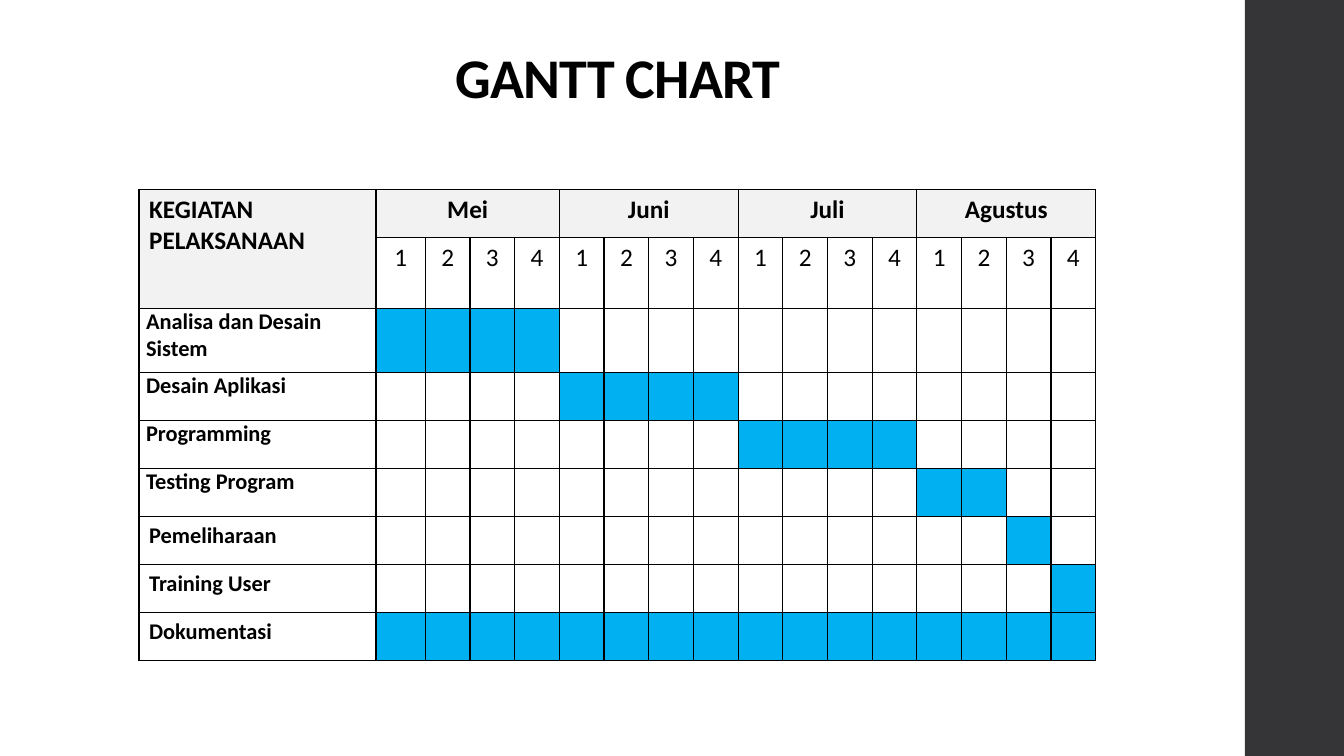
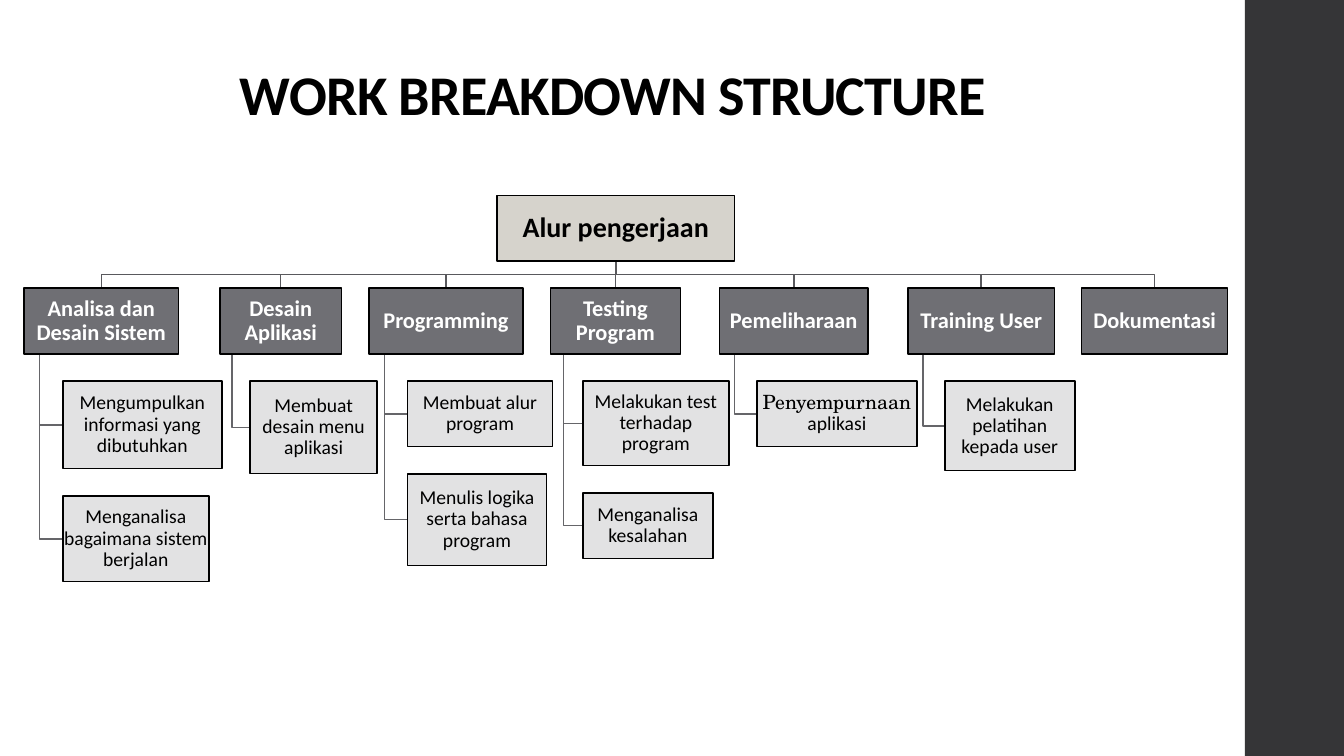
from dataclasses import dataclass

from lxml.etree import SubElement
from pptx import Presentation
from pptx.dml.color import RGBColor as Color
from pptx.enum.shapes import MSO_SHAPE as Shape
from pptx.enum.text import MSO_ANCHOR as Anchor, PP_ALIGN as Align
from pptx.oxml.ns import qn
from pptx.util import Inches, Pt


@dataclass(frozen=True)
class Theme:
    """Colours, fonts and type sizes of the deck."""
    ink: str = "000000"
    paper: str = "FFFFFF"
    band: str = "353537"
    header: str = "F2F2F2"
    active: str = "00B0F0"
    root: str = "D6D3CC"
    branch: str = "6F6F74"
    leaf: str = "E2E2E3"
    trunk: str = "59595D"
    twig: str = "656569"
    font: str = "Calibri"
    serif: str = "TeX Gyre Schola"
    title: int = 40
    root_size: int = 20
    head_size: int = 18
    label_size: int = 16
    leaf_size: int = 14
    outline: float = 1.1


THEME = Theme()

# The slide is a grid of square units: 40 columns by 22.5 rows.
COLUMNS, ROWS = 40, 22.5
UNIT = Inches(1) / 3

MONTHS = ("Mei", "Juni", "Juli", "Agustus")
WEEKS = 4
# Task, first and last busy week
TASKS = (
    ("Analisa dan Desain Sistem", 1, 4),
    ("Desain Aplikasi", 5, 8),
    ("Programming", 9, 12),
    ("Testing Program", 13, 14),
    ("Pemeliharaan", 15, 15),
    ("Training User", 16, 16),
    ("Dokumentasi", 1, 16),
)
TIGHT_TASKS = 4

# Column, width, heading, then leaves as (width, height, text)
BRANCHES = (
    (0.72, 4.59, "Analisa dan Desain Sistem", (
        (4.74, 2.61, "Mengumpulkan informasi yang dibutuhkan"),
        (4.35, 2.55, "Menganalisa bagaimana sistem berjalan"))),
    (6.54, 3.63, "Desain Aplikasi", (
        (3.78, 2.76, "Membuat desain menu aplikasi"),)),
    (10.98, 4.59, "Programming", (
        (4.32, 1.95, "Membuat alur program"),
        (4.14, 2.73, "Menulis logika serta bahasa program"))),
    (16.38, 3.87, "Testing Program", (
        (4.35, 2.52, "Melakukan test terhadap program"),
        (3.87, 1.95, "Menganalisa kesalahan"))),
    (21.42, 4.41, "Pemeliharaan", (
        (4.77, 1.95, (("Penyempurnaan ", THEME.serif),
                      ("aplikasi", THEME.font))),)),
    (27.03, 4.35, "Training User", (
        (3.87, 2.67, "Melakukan pelatihan kepada user"),)),
    (32.19, 4.35, "Dokumentasi", ()),
)


def grid(*lengths):
    """Turn grid units into slide lengths."""
    return [round(length * UNIT) for length in lengths]


def write(frame, text, size, color=THEME.ink, bold=False, align=Align.CENTER,
          leading=None, tracking=None):
    """Write one paragraph, given as a string or as (text, font) pairs."""
    para = frame.paragraphs[0]
    para.alignment = align
    if leading:
        para.line_spacing = leading
    pairs = ((text, THEME.font),) if isinstance(text, str) else text
    for words, font in pairs:
        span = para.add_run()
        span.text = words
        span.font.name = font
        span.font.size = Pt(size)
        span.font.bold = bold
        span.font.color.rgb = Color.from_string(color)
        if tracking:
            span.font._element.set("spc", str(tracking))


def paint(target, color):
    """Give a shape or cell a solid fill."""
    target.fill.solid()
    target.fill.fore_color.rgb = Color.from_string(color)


def add_box(page, place, fill, line=None):
    """Add a flat rectangle, outlined if a line colour is given."""
    box = page.shapes.add_shape(Shape.RECTANGLE, *grid(*place))
    box.shadow.inherit = False
    paint(box, fill)
    if line:
        box.line.color.rgb = Color.from_string(line)
        box.line.width = Pt(THEME.outline)
    else:
        box.line.fill.background()
    return box


def add_node(page, place, text, fill, **style):
    """Add an outlined box with centred text."""
    frame = add_box(page, place, fill, THEME.ink).text_frame
    frame.word_wrap = True
    frame.vertical_anchor = Anchor.MIDDLE
    frame.margin_left = frame.margin_right = Inches(0.01)
    frame.margin_top = frame.margin_bottom = Inches(0.01)
    write(frame, text, leading=0.9, **style)


def add_path(page, points, color):
    """Draw an open line through grid points."""
    start, *rest = [grid(*point) for point in points]
    builder = page.shapes.build_freeform(*start)
    builder.add_line_segments(rest, close=False)
    path = builder.convert_to_shape()
    path.shadow.inherit = False
    path.fill.background()
    path.line.color.rgb = Color.from_string(color)
    path.line.width = Pt(THEME.outline)


def add_page(deck, title, place):
    """Add a slide with the side band and its title."""
    page = deck.slides.add_slide(deck.slide_layouts[6])
    band_left = 37.05
    add_box(page, (band_left, 0, COLUMNS - band_left, ROWS), THEME.band)
    frame = page.shapes.add_textbox(*grid(*place)).text_frame
    frame.word_wrap = True
    frame.vertical_anchor = Anchor.BOTTOM
    write(frame, title, THEME.title, bold=True, leading=0.9, tracking=-50)
    return page


def add_borders(cell):
    """Draw a thin line on all four sides of a cell."""
    props = cell._tc.get_or_add_tcPr()
    for index, side in enumerate(("a:lnL", "a:lnR", "a:lnT", "a:lnB")):
        line = SubElement(props, qn(side), w=str(Pt(1)))
        fill = SubElement(line, qn("a:solidFill"))
        SubElement(fill, qn("a:srgbClr"), val=THEME.ink)
        props.insert(index, line)


def add_gantt(page):
    """Add the schedule table: months, weeks and busy cells."""
    widths = grid(7.05, 1.47, *[1.33] * (len(MONTHS) * WEEKS - 1))
    heights = grid(1.43, 1.43, 1.92, *[1.43] * (len(TASKS) - 1))
    table = page.shapes.add_table(
        len(heights), len(widths), *grid(4.14, 5.64),
        sum(widths), sum(heights)).table
    table.first_row = table.horz_banding = False
    for column, width in zip(table.columns, widths):
        column.width = width
    for row, height in zip(table.rows, heights):
        row.height = height
    for cell in table.iter_cells():
        paint(cell, THEME.paper)
        add_borders(cell)

    corner = table.cell(0, 0)
    corner.merge(table.cell(1, 0))
    paint(corner, THEME.header)
    write(corner.text_frame, "KEGIATAN PELAKSANAAN", THEME.head_size,
          bold=True, align=Align.LEFT)
    for index, month in enumerate(MONTHS):
        first = 1 + index * WEEKS
        head = table.cell(0, first)
        head.merge(table.cell(0, first + WEEKS - 1))
        paint(head, THEME.header)
        write(head.text_frame, month, THEME.head_size, bold=True)
        for week in range(WEEKS):
            write(table.cell(1, first + week).text_frame, str(week + 1),
                  THEME.head_size)

    for index, (task, first, last) in enumerate(TASKS):
        label = table.cell(index + 2, 0)
        if index < TIGHT_TASKS:
            label.margin_left = label.margin_right = Inches(0.07)
            label.margin_top = label.margin_bottom = 0
        write(label.text_frame, task, THEME.label_size, bold=True,
              align=Align.LEFT)
        for week in range(first, last + 1):
            paint(table.cell(index + 2, week), THEME.active)


def add_breakdown(page):
    """Add the tree of work: root, branches and hanging leaves."""
    left, top, width, height, gap = 14.79, 5.82, 7.08, 1.95, 0.81
    center, bottom = left + width / 2, top + height
    branch_top = bottom + gap
    branch_bottom = branch_top + height
    nodes = [((left, top, width, height), "Alur pengerjaan", THEME.root,
              dict(size=THEME.root_size, bold=True))]
    for column, span, heading, leaves in BRANCHES:
        middle, bend = column + span / 2, bottom + gap / 2
        add_path(page, ((center, bottom), (center, bend), (middle, bend),
                        (middle, branch_top)), THEME.trunk)
        nodes.append(((column, branch_top, span, height), heading,
                      THEME.branch, dict(size=THEME.label_size, bold=True,
                                         color=THEME.paper)))
        stem, leaf_left = column + span * 0.1, column + span * 0.25
        leaf_top = branch_bottom + gap
        for leaf_width, leaf_height, text in leaves:
            level = leaf_top + leaf_height / 2
            add_path(page, ((stem, branch_bottom), (stem, level),
                            (leaf_left, level)), THEME.twig)
            nodes.append(((leaf_left, leaf_top, leaf_width, leaf_height),
                          text, THEME.leaf, dict(size=THEME.leaf_size)))
            leaf_top += leaf_height + gap
    for place, text, fill, style in nodes:
        add_node(page, place, text, fill, **style)


def main():
    """Build and save the deck."""
    deck = Presentation()
    deck.slide_width, deck.slide_height = grid(COLUMNS, ROWS)
    add_gantt(add_page(deck, "GANTT CHART", (4.14, 1.2, 28.5, 2.25)))
    add_breakdown(add_page(deck, "WORK BREAKDOWN STRUCTURE",
                           (4.14, 1.32, 28.2, 2.64)))
    deck.save("out.pptx")


main()
